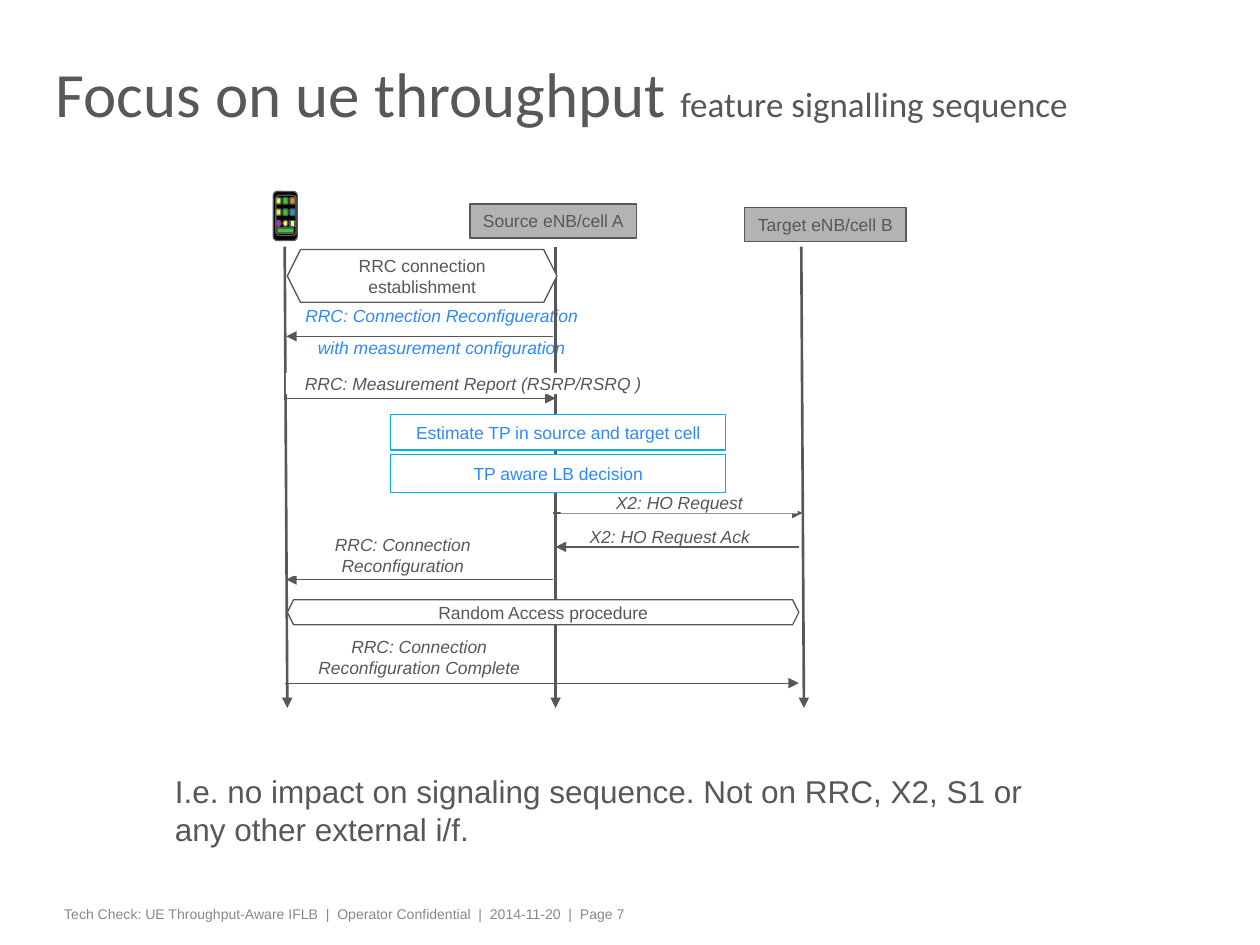
"""Build the signalling sequence slide for the throughput-aware load balancing feature."""
from lxml import etree
from pptx import Presentation
from pptx.dml.color import RGBColor
from pptx.enum import shapes, text
from pptx.oxml import ns
from pptx.util import Pt

COLORS = {
    "ink": "58585A", "footer": "87888A", "blue": "2F88FF", "cyan": "00B0F0",
    "gray": "B1B3B4", "white": "FFFFFF", "black": "000000", "lime": "CCFF33",
    "green": "33CC33", "orange": "F08A00", "teal": "00A9D4", "magenta": "FF00FF",
    "yellow": "FFFF66",
}
RGB = {name: RGBColor.from_string(value) for name, value in COLORS.items()}
RECT = shapes.MSO_SHAPE.RECTANGLE
ROUNDED = shapes.MSO_SHAPE.ROUNDED_RECTANGLE
OVAL = shapes.MSO_SHAPE.OVAL
HEXAGON = shapes.MSO_SHAPE.HEXAGON
MIDDLE, BOTTOM = text.MSO_ANCHOR.MIDDLE, text.MSO_ANCHOR.BOTTOM


def add_block(parent, kind, box, fill, line=None, wording="", color="ink",
              anchor=MIDDLE, italic=False, wrap=True):
    """Add a filled shape with centred 10 pt text."""
    block = parent.add_shape(kind, *map(Pt, box))
    block.shadow.inherit = False
    if fill:
        block.fill.solid()
        block.fill.fore_color.rgb = RGB[fill]
    else:
        block.fill.background()
    if line:
        block.line.color.rgb = RGB[line]
        block.line.width = Pt(0.75)
    else:
        block.line.fill.background()
    if wording:
        frame = block.text_frame
        frame.text = wording
        frame.word_wrap = wrap
        frame.vertical_anchor = anchor
        frame.margin_left = frame.margin_right = 0
        frame.margin_top = frame.margin_bottom = 0
        for index, paragraph in enumerate(frame.paragraphs):
            paragraph.alignment = text.PP_ALIGN.CENTER
            paragraph.space_before = Pt(6.2 if index else 0)
            font = paragraph.runs[0].font
            font.name, font.size, font.italic = "Arial", Pt(10), italic
            font.color.rgb = RGB[color]
    return block


def add_arrow(start, end, width):
    """Add a straight arrow pointing at its end."""
    arrow = slide.shapes.add_connector(
        shapes.MSO_CONNECTOR.STRAIGHT, *map(Pt, start + end))
    arrow.line.color.rgb = RGB["ink"]
    arrow.line.width = Pt(width)
    tip = etree.SubElement(arrow.line._get_or_add_ln(), ns.qn("a:tailEnd"))
    tip.set("type", "triangle")
    etree.SubElement(arrow._element.spPr, ns.qn("a:effectLst"))


deck = Presentation()
deck.slide_width, deck.slide_height = Pt(720), Pt(540)
slide = deck.slides.add_slide(deck.slide_layouts[5])

title = slide.shapes.title
title.left, title.top, title.width, title.height = map(Pt, (26, 23.8, 590.4, 85.7))
title_frame = title.text_frame
title_frame.word_wrap = True
title_frame.vertical_anchor = MIDDLE
title_frame.margin_left = title_frame.margin_right = Pt(5.67)
title_frame.margin_top, title_frame.margin_bottom = 0, Pt(18)
heading = title_frame.paragraphs[0]
heading.alignment = text.PP_ALIGN.LEFT
heading.line_spacing = 0.75
for wording, size in (("Focus on ue throughput ", 36), ("feature signalling sequence", 20)):
    run = heading.add_run()
    run.text = wording
    run.font.name, run.font.size = "Calibri", Pt(size)
    run.font.color.rgb = RGB["ink"]

add_block(slide.shapes, RECT, (145.4, 174.2, 213.8, 30.2), "white",
          wording="RRC: Connection Reconfigueration\nwith measurement configuration",
          color="blue", anchor=BOTTOM, italic=True)

for top_x, bottom_x in ((162.7, 164.2), (317.5, 317.5), (457.9, 459.4)):
    add_arrow((top_x, 141), (bottom_x, 404.6), 1.5)

messages = (
    (316, 163.6, 192.2), (162.7, 317.5, 227.6), (316, 458.6, 293.2),
    (456.5, 317.5, 312.5), (316, 163.6, 331.2), (162.7, 456.5, 390.4),
)
for sender_x, receiver_x, y in messages:
    add_arrow((sender_x, y), (receiver_x, y), 0.75)

handset = slide.shapes.add_group_shape().shapes
add_block(handset, ROUNDED, (156.2, 109.4, 13.7, 28.1), "black", "ink")
add_block(handset, ROUNDED, (157.7, 111.6, 11.5, 23), "black", "ink")
app_rows = (
    (("lime", ROUNDED), ("green", ROUNDED), ("orange", ROUNDED)),
    (("lime", ROUNDED), ("green", ROUNDED), ("teal", ROUNDED)),
    (("magenta", OVAL), ("yellow", OVAL), ("yellow", RECT)),
)
for row, apps in enumerate(app_rows):
    for column, (color, kind) in enumerate(apps):
        add_block(handset, kind, (157.7 + 4 * column, 113 + 6.4 * row, 2.9, 3.6),
                  color, "ink")
add_block(handset, RECT, (158.4, 130.3, 9.4, 2.9), "green", "ink")

nodes = (((268.6, 116.6, 95, 19.4), "Source eNB/cell A"),
         ((425.5, 118.8, 92.2, 19.4), "Target eNB/cell B"))
for box, wording in nodes:
    add_block(slide.shapes, RECT, box, "gray", "ink", wording, wrap=False)

procedures = (((164.2, 142.6, 154.1, 30.2), "RRC connection establishment"),
              ((164.2, 342.7, 292.3, 14.4), "Random Access procedure"))
for box, wording in procedures:
    add_block(slide.shapes, HEXAGON, box, "white", "ink", wording)

captions = (
    ((163.4, 213.1, 213.8, 12.2), "white", "RRC: Measurement Report (RSRP/RSRQ )"),
    ((320.4, 281.2, 135.4, 12.2), "white", "X2: HO Request"),
    ((320.4, 300.2, 124.6, 12.2), None, "X2: HO Request Ack"),
    ((167.8, 305.3, 124.6, 23.8), "white", "RRC: Connection Reconfiguration"),
    ((167.8, 363.6, 143.3, 23.8), "white", "RRC: Connection Reconfiguration Complete"),
)
for box, fill, wording in captions:
    add_block(slide.shapes, RECT, box, fill, wording=wording, anchor=BOTTOM, italic=True)

decisions = (((223.2, 236.9, 191.5, 20.2), "Estimate TP in source and target cell"),
             ((223.2, 259.9, 191.5, 21.6), "TP aware LB decision"))
for box, wording in decisions:
    add_block(slide.shapes, RECT, box, "white", "cyan", wording, "blue")

remarks = (
    ((94.3, 441.4, 517, 43.9), 0, 18, "ink",
     "I.e. no impact on signaling sequence. Not on RRC, X2, S1 or any other external i/f."),
    ((31, 514.1, 582.5, 17.3), 3.6, 8, "footer",
     "Tech Check: UE Throughput-Aware IFLB  |  Operator Confidential  |  2014-11-20  |  Page 7"),
)
for box, margin, size, color, wording in remarks:
    frame = slide.shapes.add_textbox(*map(Pt, box)).text_frame
    frame.text = wording
    frame.word_wrap = True
    frame.margin_left = frame.margin_right = Pt(5.67)
    frame.margin_top = frame.margin_bottom = Pt(margin)
    font = frame.paragraphs[0].runs[0].font
    font.name, font.size = "Arial", Pt(size)
    font.color.rgb = RGB[color]

deck.save("out.pptx")
